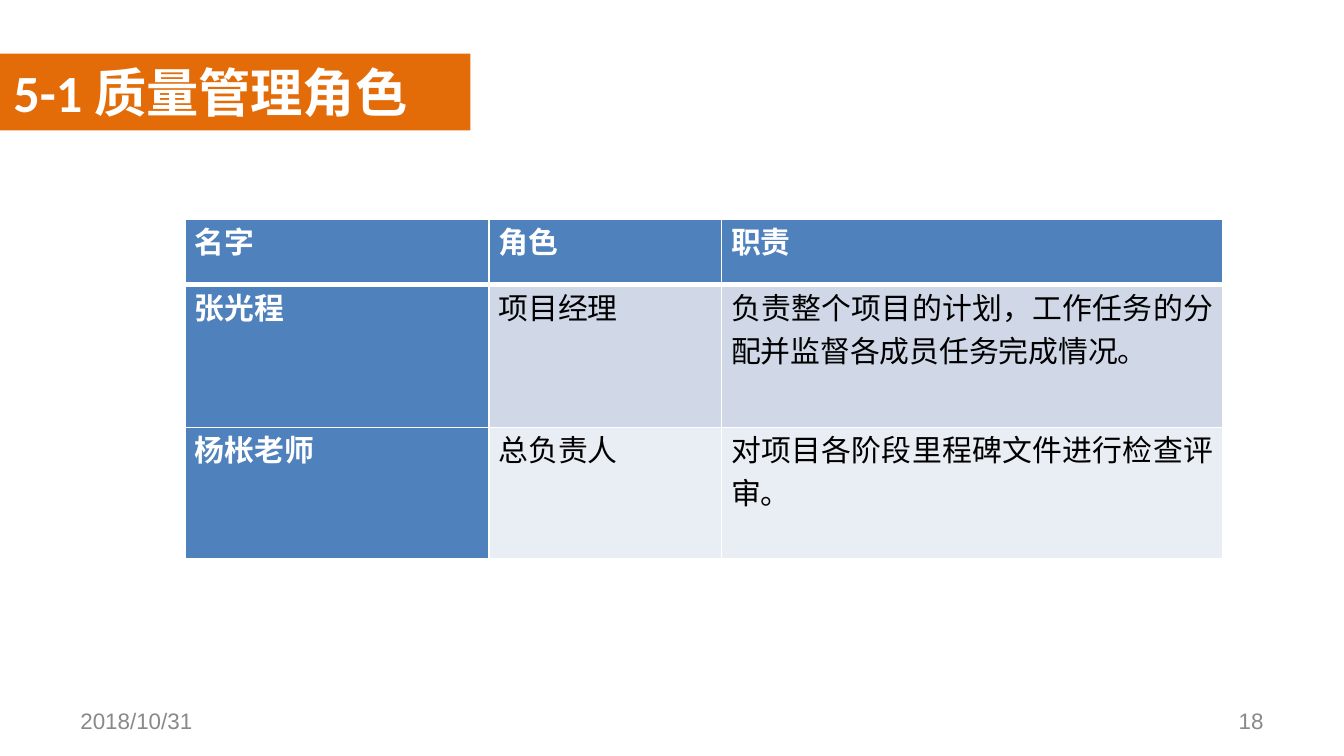
from lxml import etree
from pptx import Presentation
from pptx.dml.color import RGBColor
from pptx.enum.shapes import MSO_SHAPE
from pptx.enum.text import MSO_ANCHOR, MSO_AUTO_SIZE, PP_ALIGN
from pptx.oxml.ns import qn
from pptx.util import Inches, Pt

RECT = MSO_SHAPE.RECTANGLE
LEFT, RIGHT, JUSTIFY = PP_ALIGN.LEFT, PP_ALIGN.RIGHT, PP_ALIGN.JUSTIFY
TOP, MIDDLE = MSO_ANCHOR.TOP, MSO_ANCHOR.MIDDLE
NO_FIT = MSO_AUTO_SIZE.NONE

WHITE = RGBColor(0xFF, 0xFF, 0xFF)
BLACK = RGBColor(0, 0, 0)
ORANGE = RGBColor(0xE3, 0x6C, 0x09)
BLUE = RGBColor(0x4F, 0x81, 0xBD)
BAND_DARK = RGBColor(0xD0, 0xD8, 0xE8)
BAND_LIGHT = RGBColor(0xE9, 0xED, 0xF4)
GRAY = RGBColor(0x89, 0x89, 0x89)

BANNER = (0, 0.4, 3.5, 0.57)
ROLES = [
    ["名字", "角色", "职责"],
    ["张光程", "项目经理", "负责整个项目的计划，工作任务的分配并监督各成员任务完成情况。"],
    ["杨枨老师", "总负责人", "对项目各阶段里程碑文件进行检查评审。"],
]


def write(tf, text, size=16, font="Arial", color=BLACK, bold=False, align=LEFT):
    p = tf.paragraphs[0]
    p.alignment = align
    r = p.add_run()
    r.text = text
    r.font.size = Pt(size)
    r.font.name = font
    r.font.bold = bold
    r.font.color.rgb = color


class SlideBuilder:
    bands = (BAND_DARK, BAND_LIGHT)
    thin, thick = 1, 3

    def __init__(self, slide):
        self.s = slide

    def rect(self, box, color, alpha=None):
        sp = self.s.shapes.add_shape(RECT, *map(Inches, box))
        sp.shadow.inherit = False
        sp.line.fill.background()
        sp.fill.solid()
        sp.fill.fore_color.rgb = color
        if alpha is not None:
            clr = sp.fill._xPr.find(qn("a:solidFill"))[0]
            etree.SubElement(clr, qn("a:alpha"), val=str(alpha * 1000))
        return sp

    def title(self, box, text, behind):
        sp = self.s.shapes.title
        sp.left, sp.top, sp.width, sp.height = map(Inches, box)
        behind._element.addnext(sp._element)
        tf = sp.text_frame
        tf.auto_size = NO_FIT
        tf.vertical_anchor = TOP
        write(tf, text, size=28, font="Calibri", color=WHITE, bold=True)

    def footer(self, box, text, align=LEFT):
        tf = self.s.shapes.add_textbox(*map(Inches, box)).text_frame
        tf.word_wrap = True
        tf.vertical_anchor = MIDDLE
        write(tf, text, size=12, color=GRAY, align=align)

    def borders(self, cell, **widths):
        tcPr = cell._tc.get_or_add_tcPr()
        for i, side in enumerate(("lnL", "lnR", "lnT", "lnB")):
            ln = etree.Element(qn(f"a:{side}"), w=str(Pt(widths.get(side, self.thin))))
            fill = etree.SubElement(ln, qn("a:solidFill"))
            etree.SubElement(fill, qn("a:srgbClr"), val=str(WHITE))
            tcPr.insert(i, ln)

    def table(self, left, top, cols, rows, data):
        box = map(Inches, (left, top, sum(cols), sum(rows)))
        tbl = self.s.shapes.add_table(len(rows), len(cols), *box).table
        tbl.first_col = True
        for col, width in zip(tbl.columns, cols):
            col.width = Inches(width)
        for row, height in zip(tbl.rows, rows):
            row.height = Inches(height)
        for i, values in enumerate(data):
            for j, text in enumerate(values):
                cell = tbl.cell(i, j)
                head = i == 0 or j == 0
                cell.margin_left = cell.margin_right = Inches(0.07)
                cell.margin_top = cell.margin_bottom = 0
                cell.fill.solid()
                cell.fill.fore_color.rgb = BLUE if head else self.bands[(i - 1) % 2]
                self.borders(cell, lnT=self.thick if i == 1 else self.thin,
                             lnB=self.thick if i == 0 else self.thin)
                write(cell.text_frame, text, color=WHITE if head else BLACK,
                      bold=head, align=JUSTIFY)


def main():
    prs = Presentation()
    prs.slide_width = Inches(10)
    prs.slide_height = prs.slide_width * 9 // 16
    b = SlideBuilder(prs.slides.add_slide(prs.slide_layouts[5]))
    b.rect((0, 0.69, 10, 4.49), WHITE, alpha=50)
    banner = b.rect(BANNER, ORANGE)
    b.title(BANNER, "5-1 质量管理角色", behind=banner)
    b.table(1.38, 1.63, (2.26, 1.73, 3.73), (0.49, 1.06, 0.98), ROLES)
    b.footer((0.5, 5.21, 2.33, 0.3), "2018/10/31")
    b.footer((7.17, 5.21, 2.33, 0.3), "18", align=RIGHT)
    prs.save("out.pptx")


if __name__ == "__main__":
    main()
